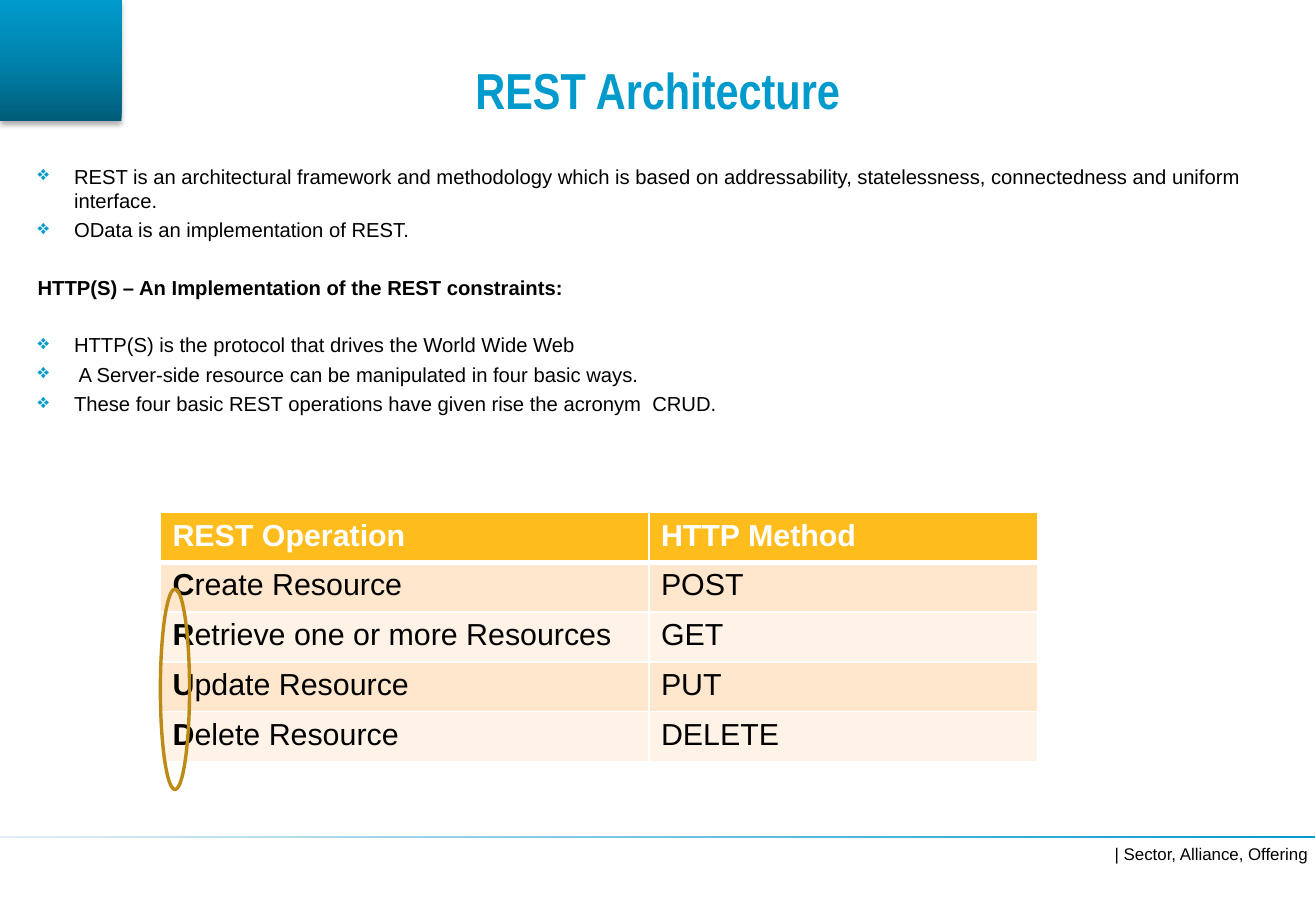
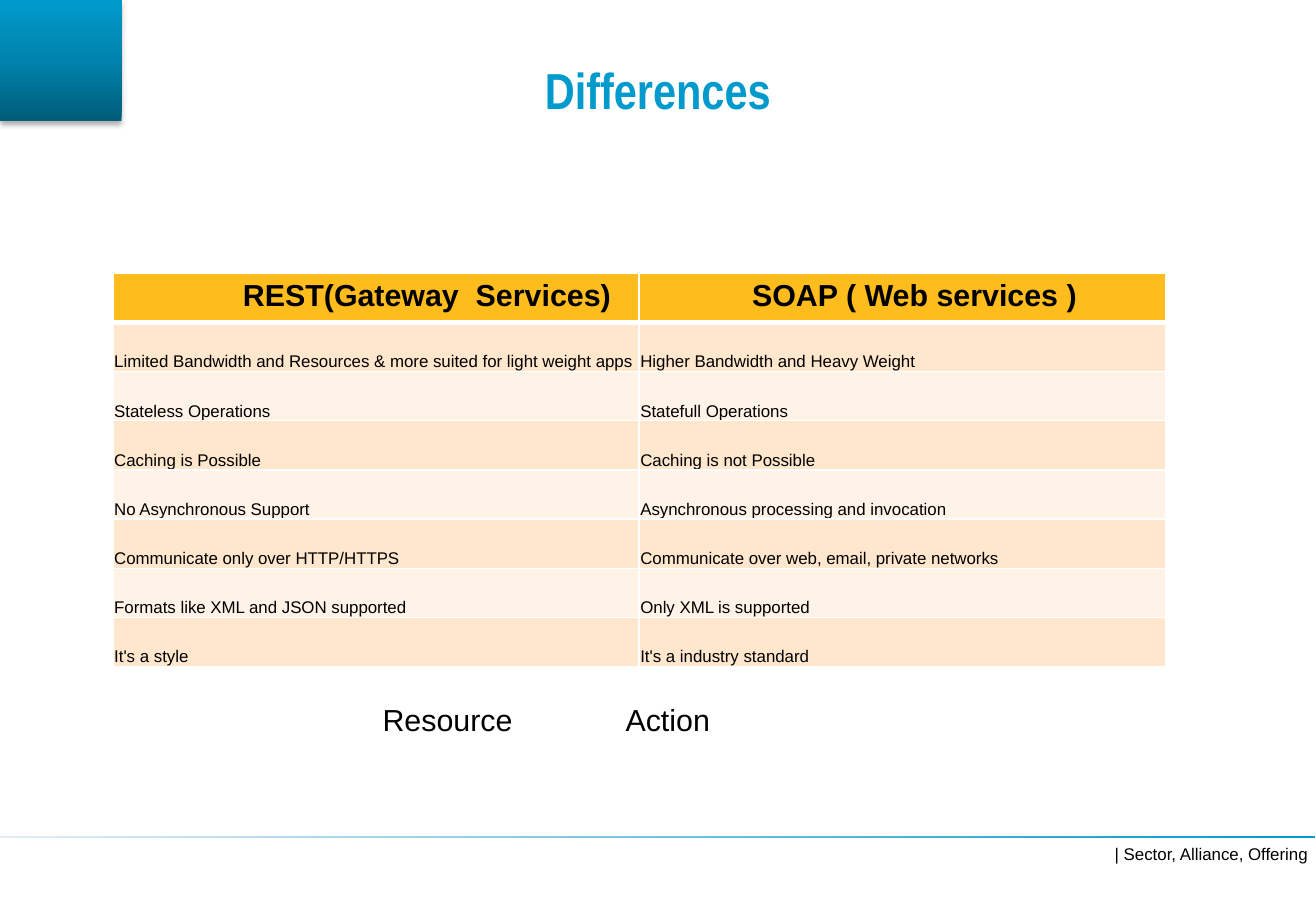
from lxml.etree import SubElement
from pptx import Presentation
from pptx.dml.color import RGBColor
from pptx.enum.shapes import MSO_SHAPE as Shape
from pptx.enum.text import MSO_ANCHOR as Anchor, PP_ALIGN as Align
from pptx.oxml.ns import qn
from pptx.util import Inches, Pt

WIDTH, HEIGHT = 10.83, 7.5
BLUE, BLACK, WHITE = "009BCC", "000000", "FFFFFF"
AMBER, DARK_AMBER = "FFBC1D", "BD8B15"
BANDS = ("FFE7CD", "FFF3E8")
CELL_INSETS = (0.1, 0.05, 0.1, 0.05)


def rgb(value):
    return RGBColor.from_string(value)


def add_color(parent, value):
    return SubElement(parent, qn("a:srgbClr"), val=value)


def set_insets(target, insets):
    """Set the margins of a text frame or table cell: left, top, right, bottom."""
    (target.margin_left, target.margin_top,
     target.margin_right, target.margin_bottom) = map(Inches, insets)


def write(paragraph, parts, size, color=BLACK, font="Arial"):
    """Fill a paragraph with runs given as (text, bold) pairs."""
    for text, bold in parts:
        run = paragraph.add_run()
        run.text = text
        run.font.name, run.font.size, run.font.bold = font, Pt(size), bold
        run.font.color.rgb = rgb(color)


def add_text_frame(slide, box, insets=CELL_INSETS, wrap=True):
    frame = slide.shapes.add_textbox(*map(Inches, box)).text_frame
    frame.word_wrap = wrap
    set_insets(frame, insets)
    return frame


def fill_gradient(shape, stops, angle):
    shape.shadow.inherit = False
    shape.line.fill.background()
    shape.fill.gradient()
    shape.fill.gradient_angle = angle
    stop_list = shape._element.spPr.find(qn("a:gradFill")).find(qn("a:gsLst"))
    stop_list.clear()
    for position, color in stops:
        add_color(SubElement(stop_list, qn("a:gs"), pos=str(position * 1000)), color)


def add_corner(slide, left, top, width, height):
    """Curved blue corner with a soft shadow below its edge."""
    controls = ((0, 1), (0.03, 0.47), (0.77, 0), (1, 0))
    steps = 48
    curve = []
    for step in range(steps + 1):
        t = step / steps
        weights = ((1 - t) ** 3, 3 * t * (1 - t) ** 2, 3 * t * t * (1 - t), t ** 3)
        x, y = (sum(w * point[axis] for w, point in zip(weights, controls))
                for axis in (0, 1))
        curve.append((left + x * width, top + y * height))
    builder = slide.shapes.build_freeform(left, top, scale=Inches(1))
    builder.add_line_segments(curve, close=True)
    corner = builder.convert_to_shape()
    fill_gradient(corner, ((0, "005C79"), (50, "0083AC"), (100, BLUE)), 90)
    effects = corner._element.spPr.find(qn("a:effectLst"))
    shadow = SubElement(effects, qn("a:outerShdw"), blurRad=str(Pt(3.5)),
                        dist=str(Pt(2.2)), dir="5400000", rotWithShape="0")
    SubElement(add_color(shadow, BLACK), qn("a:alpha"), val="32000")


def add_footer(slide, left, top, width):
    rule = slide.shapes.add_shape(
        Shape.RECTANGLE, *map(Inches, (left, top, width, 0.02)))
    fill_gradient(rule, ((0, "E4EDF5"), (100, BLUE)), 0)
    box = (left + width - 1.85, top + 0.02, 1.87, 0.27)
    paragraph = add_text_frame(slide, box, (0.04, 0.05, 0.08, 0.05)).paragraphs[0]
    paragraph.alignment = Align.RIGHT
    write(paragraph, [("| Sector, Alliance, Offering", False)], 10)


def add_title(slide, title, box):
    frame = add_text_frame(slide, box, (0.08, 0.28, 0.08, 0.04))
    frame.vertical_anchor = Anchor.MIDDLE
    paragraph = frame.paragraphs[0]
    paragraph.alignment, paragraph.line_spacing = Align.CENTER, 0.9
    write(paragraph, [(title, True)], 30, BLUE, "Arial Narrow")


def add_base_slide(presentation, title):
    slide = presentation.slides.add_slide(presentation.slide_layouts[6])
    add_footer(slide, -0.01, 6.88, WIDTH)
    add_corner(slide, -0.01, 0, 3.78, 1.35)
    add_title(slide, title, (0, 0, WIDTH, 1.3))
    return slide


def add_body(slide, items, box):
    """Write (text, is_heading) items; headings stand apart, the rest get bullets."""
    frame = add_text_frame(slide, box, (0.31, 0.04, 0.08, 0.04))
    after_heading = False
    for index, (text, heading) in enumerate(items):
        paragraph = frame.add_paragraph() if index else frame.paragraphs[0]
        paragraph.space_before = Pt(19.7 if heading or after_heading else 3)
        write(paragraph, [(text, heading)], 12)
        if not heading:
            properties = paragraph._p.get_or_add_pPr()
            properties.set("marL", str(Inches(0.3)))
            properties.set("indent", str(Inches(-0.3)))
            add_color(SubElement(properties, qn("a:buClr")), BLUE)
            SubElement(properties, qn("a:buChar"), char="❖")
        after_heading = heading


def set_borders(cell, row_index):
    """White borders, thick between the header and the first row."""
    top, bottom = (3 if row_index == thick else 1 for thick in (1, 0))
    properties = cell._tc.get_or_add_tcPr()
    for index, (side, width) in enumerate(
            (("L", 1), ("R", 1), ("T", top), ("B", bottom))):
        line = SubElement(properties, qn("a:ln" + side), w=str(Pt(width)))
        add_color(SubElement(line, qn("a:solidFill")), WHITE)
        properties.insert(index, line)


def add_banded_table(slide, rows, box, column_widths, write_cell):
    """Add a table whose cells are filled in by write_cell(cell, text, row, column)."""
    table = slide.shapes.add_table(
        len(rows), len(column_widths), *map(Inches, box)).table
    for column, width in zip(table.columns, column_widths):
        column.width = Inches(width)
    for row_index, texts in enumerate(rows):
        for column_index, text in enumerate(texts):
            cell = table.cell(row_index, column_index)
            cell.fill.solid()
            cell.fill.fore_color.rgb = rgb(
                BANDS[(row_index - 1) % 2] if row_index else AMBER)
            set_borders(cell, row_index)
            set_insets(cell, CELL_INSETS)
            write_cell(cell, text, row_index, column_index)


def write_operation_cell(cell, text, row, column):
    paragraph = cell.text_frame.paragraphs[0]
    if row == 0:
        write(paragraph, [(text, True)], 18, WHITE)
    elif column == 0:
        write(paragraph, [(text[0], True), (text[1:], False)], 18)
    else:
        write(paragraph, [(text, False)], 18)


def write_difference_cell(cell, text, row, column):
    header = row == 0
    if header:
        cell.margin_left = Inches((1.07, 0.93)[column])
    else:
        cell.vertical_anchor = Anchor.BOTTOM
        set_insets(cell, (0.01, 0.01, 0.01, 0))
    write(cell.text_frame.paragraphs[0], [(text, header)], 18 if header else 10)


def add_architecture_slide(presentation):
    slide = add_base_slide(presentation, "REST Architecture")
    add_body(slide, (
        ("REST is an architectural framework and methodology which is based on "
         "addressability, statelessness, connectedness and uniform interface.", False),
        ("OData is an implementation of REST.", False),
        ("HTTP(S) – An Implementation of the REST constraints:", True),
        ("HTTP(S) is the protocol that drives the World Wide Web", False),
        (" A Server-side resource can be manipulated in four basic ways.", False),
        ("These four basic REST operations have given rise the acronym  CRUD.", False),
    ), (0, 1.31, WIDTH, 3.23))
    add_banded_table(slide, (
        ("REST Operation", "HTTP Method"),
        ("Create Resource", "POST"),
        ("Retrieve one or more Resources", "GET"),
        ("Update Resource", "PUT"),
        ("Delete Resource", "DELETE"),
    ), (1.32, 4.22, 7.22, 2.05), (4.02, 3.2), write_operation_cell)
    ring = slide.shapes.add_shape(
        Shape.OVAL, *map(Inches, (1.32, 4.85, 0.24, 1.65)))
    ring.shadow.inherit = False
    ring.fill.background()
    ring.line.color.rgb, ring.line.width = rgb(DARK_AMBER), Pt(2)


def add_differences_slide(presentation):
    slide = add_base_slide(presentation, "Differences")
    add_banded_table(slide, (
        ("REST(Gateway  Services)", "SOAP ( Web services )"),
        ("Limited Bandwidth and Resources & more suited for light weight apps",
         "Higher Bandwidth and Heavy Weight"),
        ("Stateless Operations", "Statefull Operations"),
        ("Caching is Possible", "Caching is not Possible"),
        ("No Asynchronous Support", "Asynchronous processing and invocation"),
        ("Communicate only over HTTP/HTTPS",
         "Communicate over web, email, private networks"),
        ("Formats like XML and JSON supported", "Only XML is supported"),
        ("It's a style", "It's a industry standard"),
    ), (0.93, 2.25, 8.66, 3.24), (4.33, 4.33), write_difference_cell)
    caption = add_text_frame(slide, (3.05, 5.72, 3.93, 0.4), wrap=False)
    write(caption.paragraphs[0], [("Resource\t\tAction", False)], 18)


def main():
    presentation = Presentation()
    presentation.slide_width, presentation.slide_height = Inches(WIDTH), Inches(HEIGHT)
    add_architecture_slide(presentation)
    add_differences_slide(presentation)
    presentation.save("out.pptx")


if __name__ == "__main__":
    main()
